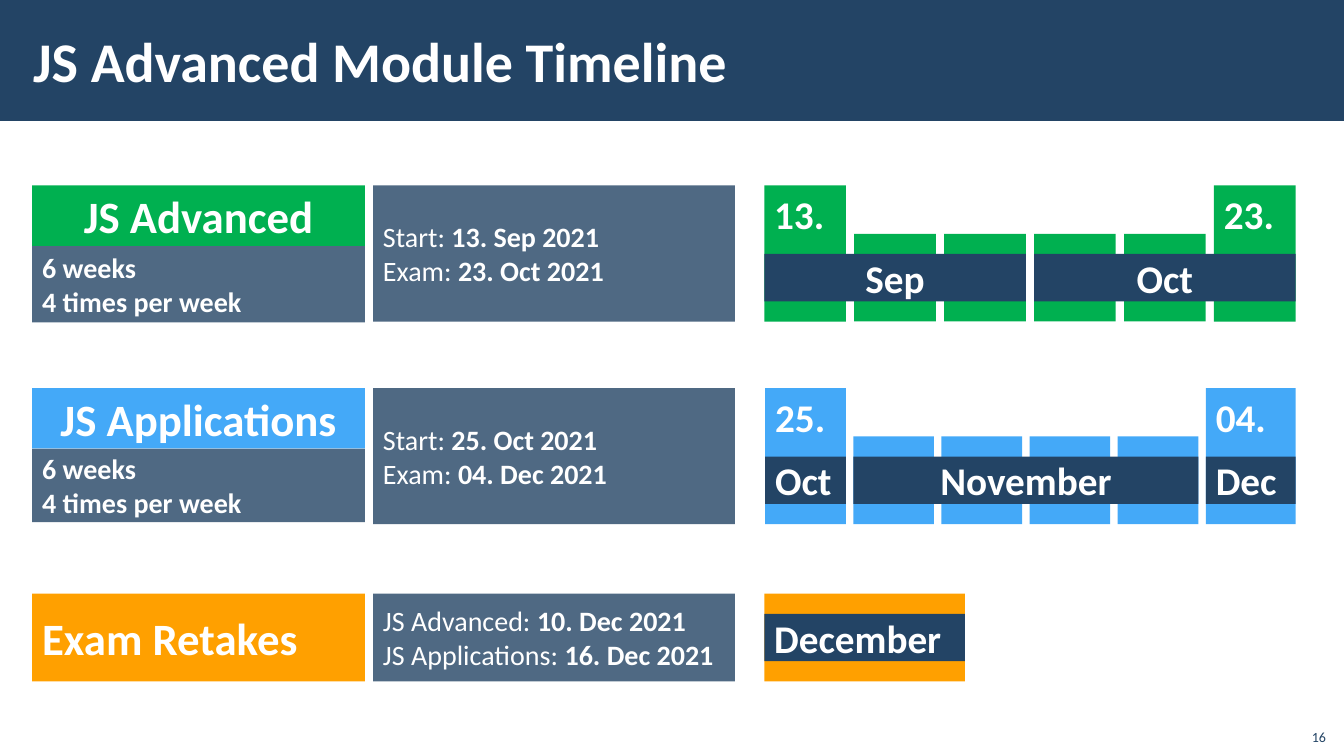
from dataclasses import dataclass

from lxml.etree import SubElement
from pptx import Presentation
from pptx.dml.color import RGBColor
from pptx.enum.shapes import MSO_SHAPE
from pptx.enum.text import MSO_ANCHOR, PP_ALIGN
from pptx.oxml.ns import qn
from pptx.util import Inches, Pt

NAVY = "234465"
WHITE = "FFFFFF"
GREEN = "00B050"
BLUE = "44A9F8"
ORANGE = "FFA000"

LABEL_LEFT, LABEL_WIDTH = 0.32, 3.3
DATES_LEFT, DATES_WIDTH = 3.7, 3.59
MODULE_HEIGHT, HEADING_HEIGHT = 1.35, 0.6
RETAKES_TOP, RETAKES_HEIGHT = 5.89, 0.87
RETAKES_LEFT, RETAKES_WIDTH = 7.58, 1.99
SHORT_BAR_OFFSET, MONTH_OFFSET, MONTH_HEIGHT = 0.48, 0.68, 0.47
WEEK_COUNT = 6


@dataclass
class Month:
    name: str
    first_week: int
    last_week: int
    align: PP_ALIGN = PP_ALIGN.CENTER


@dataclass
class Module:
    name: str
    color: str
    top: float
    summary_height: float
    start: str
    exam: str
    first_left: float
    last_left: float
    bar_width: float
    last_width: float
    months: list[Month]


MODULES = [
    Module("JS Advanced", GREEN, 1.84, 0.76, "13. Sep 2021", "23. Oct 2021",
           7.58, 12.04, 0.81, 0.81, [Month("Sep", 0, 2), Month("Oct", 3, 5)]),
    Module("JS Applications", BLUE, 3.85, 0.73, "25. Oct 2021", "04. Dec 2021",
           7.59, 11.96, 0.8, 0.89,
           [Month("Oct", 0, 0, PP_ALIGN.LEFT), Month("November", 1, 4),
            Month("Dec", 5, 5, PP_ALIGN.LEFT)]),
]


def rgb(color: str) -> RGBColor:
    return RGBColor.from_string(color)


def write_text(shape, lines: list, *, size: float, color: str = WHITE, bold: bool = True,
               align=PP_ALIGN.LEFT, anchor=MSO_ANCHOR.MIDDLE,
               inset_x: float = 0.1, inset_y: float = 0.05) -> None:
    frame = shape.text_frame
    frame.word_wrap = True
    frame.vertical_anchor = anchor
    frame.margin_left = frame.margin_right = Inches(inset_x)
    frame.margin_top = frame.margin_bottom = Inches(inset_y)
    for index, line in enumerate(lines):
        paragraph = frame.paragraphs[0] if index == 0 else frame.add_paragraph()
        paragraph.alignment = align
        runs = [(line, bold)] if isinstance(line, str) else line
        for text, run_bold in runs:
            run = paragraph.add_run()
            run.text = text
            run.font.name = "Calibri"
            run.font.size = Pt(size)
            run.font.bold = run_bold
            run.font.color.rgb = rgb(color)


def add_block(shapes, left: float, top: float, width: float, height: float,
              color: str, opacity: int = 100):
    shape = shapes.add_shape(MSO_SHAPE.RECTANGLE, Inches(left), Inches(top),
                             Inches(width), Inches(height))
    shape.shadow.inherit = False
    shape.line.fill.background()
    shape.fill.solid()
    shape.fill.fore_color.rgb = rgb(color)
    if opacity < 100:
        fill_color = shape.fill._xPr.find(qn("a:solidFill"))[0]
        SubElement(fill_color, qn("a:alpha")).set("val", str(opacity * 1000))
    return shape


def add_dates(shapes, top: float, height: float, dates: list[tuple[str, str]]) -> None:
    block = add_block(shapes, DATES_LEFT, top, DATES_WIDTH, height, NAVY, opacity=80)
    write_text(block, [[(f"{label}: ", False), (date, True)] for label, date in dates], size=20)


def add_month(shapes, name: str, left: float, top: float, width: float, align) -> None:
    block = add_block(shapes, left, top, width, MONTH_HEIGHT, NAVY)
    write_text(block, [name], size=28, align=align, inset_y=0)


def add_timeline(slide, module: Module) -> None:
    shapes = slide.shapes.add_group_shape().shapes
    step = (module.last_left - module.first_left) / (WEEK_COUNT - 1)
    lefts = [module.first_left + week * step for week in range(WEEK_COUNT)]
    widths = [module.bar_width] * (WEEK_COUNT - 1) + [module.last_width]
    end_days = {0: module.start[:3], WEEK_COUNT - 1: module.exam[:3]}
    for week, (left, width) in enumerate(zip(lefts, widths)):
        offset = 0 if week in end_days else SHORT_BAR_OFFSET
        bar = add_block(shapes, left, module.top + offset, width,
                        MODULE_HEIGHT - offset, module.color)
        if week in end_days:
            write_text(bar, [end_days[week]], size=28, anchor=MSO_ANCHOR.TOP)
    for month in module.months:
        left = lefts[month.first_week]
        right = lefts[month.last_week] + widths[month.last_week]
        add_month(shapes, month.name, left, module.top + MONTH_OFFSET, right - left, month.align)


def add_module(slide, module: Module) -> None:
    summary = add_block(slide.shapes, LABEL_LEFT, module.top + HEADING_HEIGHT, LABEL_WIDTH,
                        module.summary_height, NAVY, opacity=80)
    write_text(summary, ["6 weeks", "4 times per week"], size=20)
    heading = add_block(slide.shapes, LABEL_LEFT, module.top, LABEL_WIDTH,
                        HEADING_HEIGHT, module.color)
    write_text(heading, [module.name], size=32, align=PP_ALIGN.CENTER)
    add_dates(slide.shapes, module.top, MODULE_HEIGHT,
              [("Start", module.start), ("Exam", module.exam)])
    add_timeline(slide, module)


def add_retakes(slide) -> None:
    heading = add_block(slide.shapes, LABEL_LEFT, RETAKES_TOP, LABEL_WIDTH,
                        RETAKES_HEIGHT, ORANGE)
    write_text(heading, ["Exam Retakes"], size=32)
    add_dates(slide.shapes, RETAKES_TOP, RETAKES_HEIGHT,
              [("JS Advanced", "10. Dec 2021"), ("JS Applications", "16. Dec 2021")])
    shapes = slide.shapes.add_group_shape().shapes
    add_block(shapes, RETAKES_LEFT, RETAKES_TOP, RETAKES_WIDTH, RETAKES_HEIGHT, ORANGE)
    add_month(shapes, "December", RETAKES_LEFT, RETAKES_TOP + 0.2, RETAKES_WIDTH, PP_ALIGN.LEFT)


def main() -> None:
    presentation = Presentation()
    presentation.slide_width = Inches(13.33)
    presentation.slide_height = Inches(7.5)
    slide = presentation.slides.add_slide(presentation.slide_layouts[6])

    add_block(slide.shapes, 0, 0, 13.33, 1.2, NAVY)
    title = slide.shapes.add_textbox(Inches(0.21), Inches(0.11), Inches(10.63), Inches(0.97))
    write_text(title, ["JS Advanced Module Timeline"], size=40, inset_x=0.12, inset_y=0.04)
    page_number = slide.shapes.add_textbox(Inches(12.85), Inches(7.12), Inches(0.4), Inches(0.32))
    write_text(page_number, ["16"], size=10, color=NAVY, bold=False,
               align=PP_ALIGN.RIGHT, anchor=MSO_ANCHOR.BOTTOM)

    for module in MODULES:
        add_module(slide, module)
    add_retakes(slide)
    presentation.save("out.pptx")


if __name__ == "__main__":
    main()
